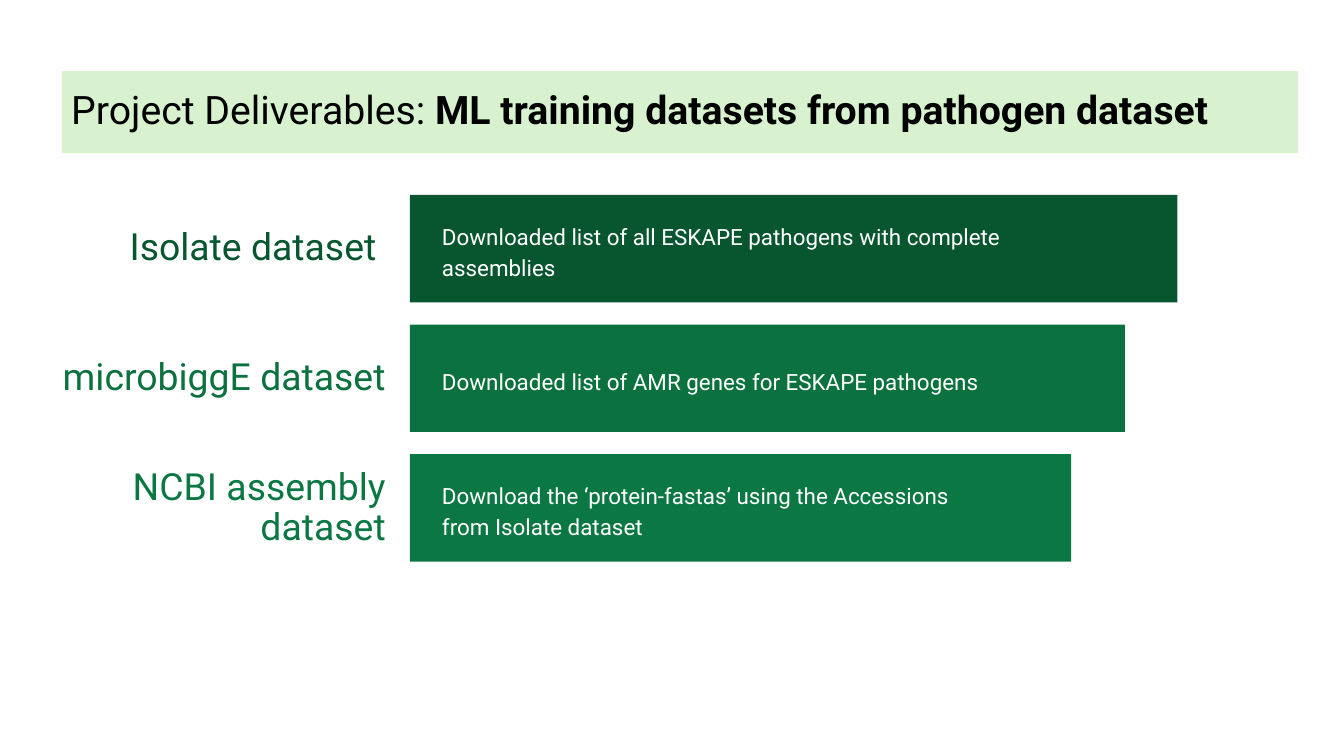
from pptx import Presentation
from pptx import util as u
from pptx.dml.color import RGBColor
from pptx.enum import shapes, text

BLACK = RGBColor(0x00, 0x00, 0x00)
WHITE = RGBColor(0xFF, 0xFF, 0xFF)
MINT = RGBColor(0xD8, 0xF2, 0xCF)
DARK_GREEN = RGBColor(0x08, 0x56, 0x30)
MID_GREEN = RGBColor(0x0B, 0x71, 0x3F)
LIGHT_GREEN = RGBColor(0x0B, 0x77, 0x43)

LABEL_RIGHT, LABEL_H = 2.97, 0.69
BAR_LEFT, BAR_H = 3.05, 0.8
NOTE_LEFT, NOTE_DROP = 3.19, 0.01
ROWS_TOP, LAST_ROW_TOP = 1.45, 3.38

ROWS = [
    dict(label="Isolate dataset ", label_w=2.19, bar_w=5.71, color=DARK_GREEN,
         note="Downloaded list of all ESKAPE pathogens with complete assemblies",
         note_w=5.21, note_h=0.63),
    dict(label="microbiggE dataset", label_w=2.97, bar_w=5.32, color=MID_GREEN,
         note="Downloaded list of AMR genes for ESKAPE pathogens",
         note_w=4.78, note_h=0.36),
    dict(label="NCBI assembly dataset", label_w=2.63, bar_w=4.92, color=LIGHT_GREEN,
         note="Download the ‘protein-fastas’ using the Accessions from Isolate dataset",
         note_w=4.21, note_h=0.36),
]


def box(*lengths):
    return [u.Inches(v) for v in lengths]


def set_all(obj, values):
    for name, value in values.items():
        setattr(obj, name, value)


def fill_text(sp, runs, size, color, align, spacing, inset=(0.1, 0.05)):
    tf = sp.text_frame
    dx, dy = box(*inset)
    set_all(tf, dict(word_wrap=True, auto_size=text.MSO_AUTO_SIZE.NONE,
                     vertical_anchor=text.MSO_ANCHOR.MIDDLE,
                     margin_left=dx, margin_right=dx,
                     margin_top=dy, margin_bottom=dy))
    p = tf.paragraphs[0]
    set_all(p, dict(alignment=align, line_spacing=spacing, space_before=u.Pt(0)))
    for words, bold in runs:
        r = p.add_run()
        r.text = words
        set_all(r.font, dict(name="Roboto", size=u.Pt(size), bold=bold))
        r.font.color.rgb = color


def add_title(s, left, top, width, height):
    sp = s.shapes.title
    set_all(sp, dict(zip(("left", "top", "width", "height"),
                         box(left, top, width, height))))
    sp.fill.solid()
    sp.fill.fore_color.rgb = MINT
    runs = [("Project Deliverables: ", False),
            ("ML training datasets from pathogen dataset", True)]
    fill_text(sp, runs, 21, BLACK, text.PP_ALIGN.LEFT, 0.9, (0.07, 0.04))


def add_row(s, top, row):
    grp = s.shapes.add_group_shape().shapes
    middle = top + BAR_H / 2

    label = grp.add_textbox(*box(LABEL_RIGHT - row["label_w"], middle - LABEL_H / 2,
                                 row["label_w"], LABEL_H))
    fill_text(label, [(row["label"], False)], 20, row["color"],
              text.PP_ALIGN.RIGHT, 0.9)

    bar = grp.add_shape(shapes.MSO_SHAPE.RECTANGLE,
                        *box(BAR_LEFT, top, row["bar_w"], BAR_H))
    bar.shadow.inherit = False
    bar.fill.solid()
    bar.fill.fore_color.rgb = row["color"]
    bar.line.fill.background()

    note = grp.add_textbox(*box(NOTE_LEFT, middle - row["note_h"] / 2 + NOTE_DROP,
                                row["note_w"], row["note_h"]))
    fill_text(note, [(row["note"], False)], 12, WHITE, text.PP_ALIGN.LEFT, 1.15)


def main():
    prs = Presentation()
    width = u.Inches(10)
    set_all(prs, dict(slide_width=width, slide_height=width * 9 // 16))
    s = prs.slides.add_slide(prs.slide_layouts[5])
    add_title(s, 0.46, 0.53, 9.2, 0.61)
    pitch = (LAST_ROW_TOP - ROWS_TOP) / (len(ROWS) - 1)
    for i, row in enumerate(ROWS):
        add_row(s, ROWS_TOP + i * pitch, row)
    prs.save("out.pptx")


if __name__ == "__main__":
    main()
